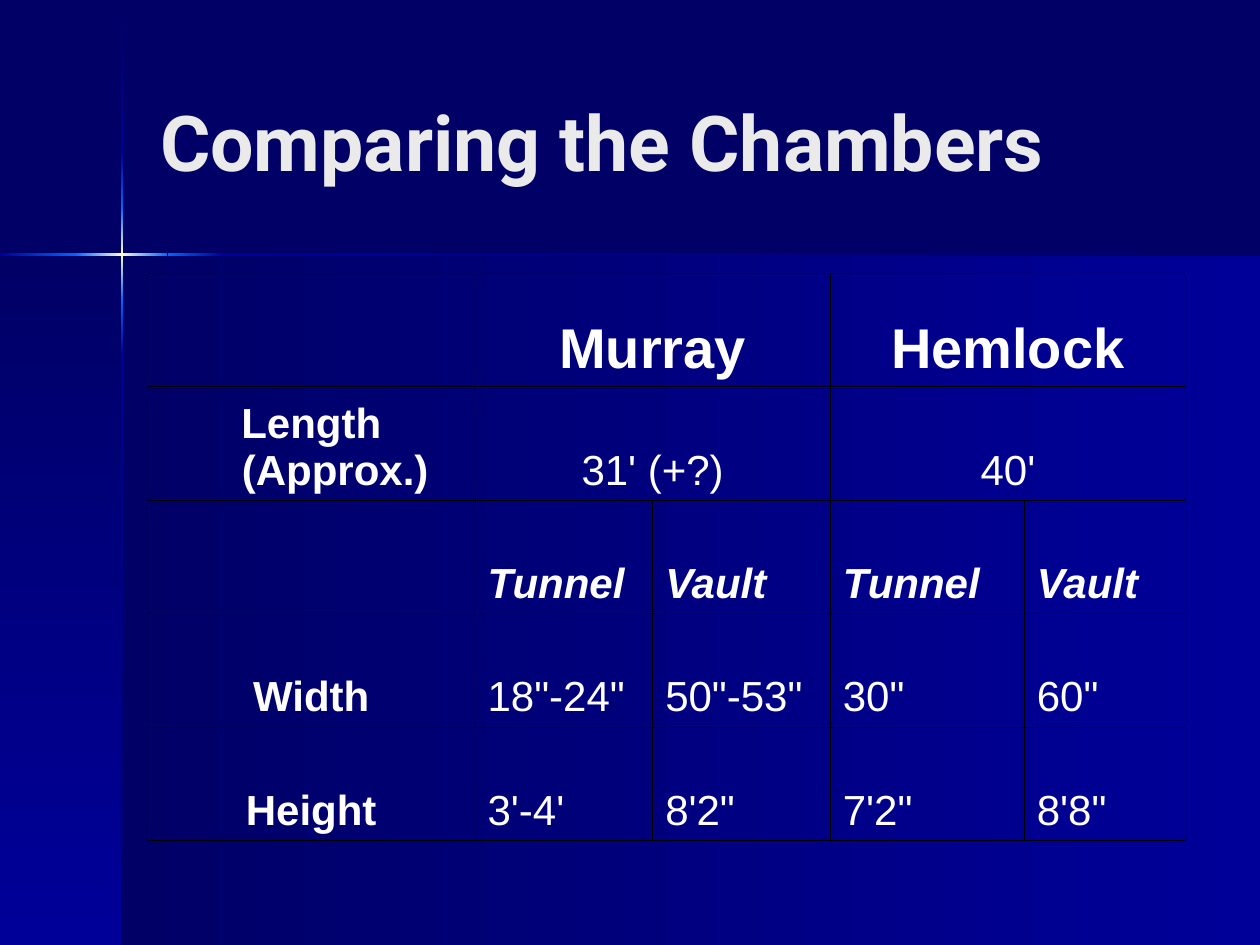
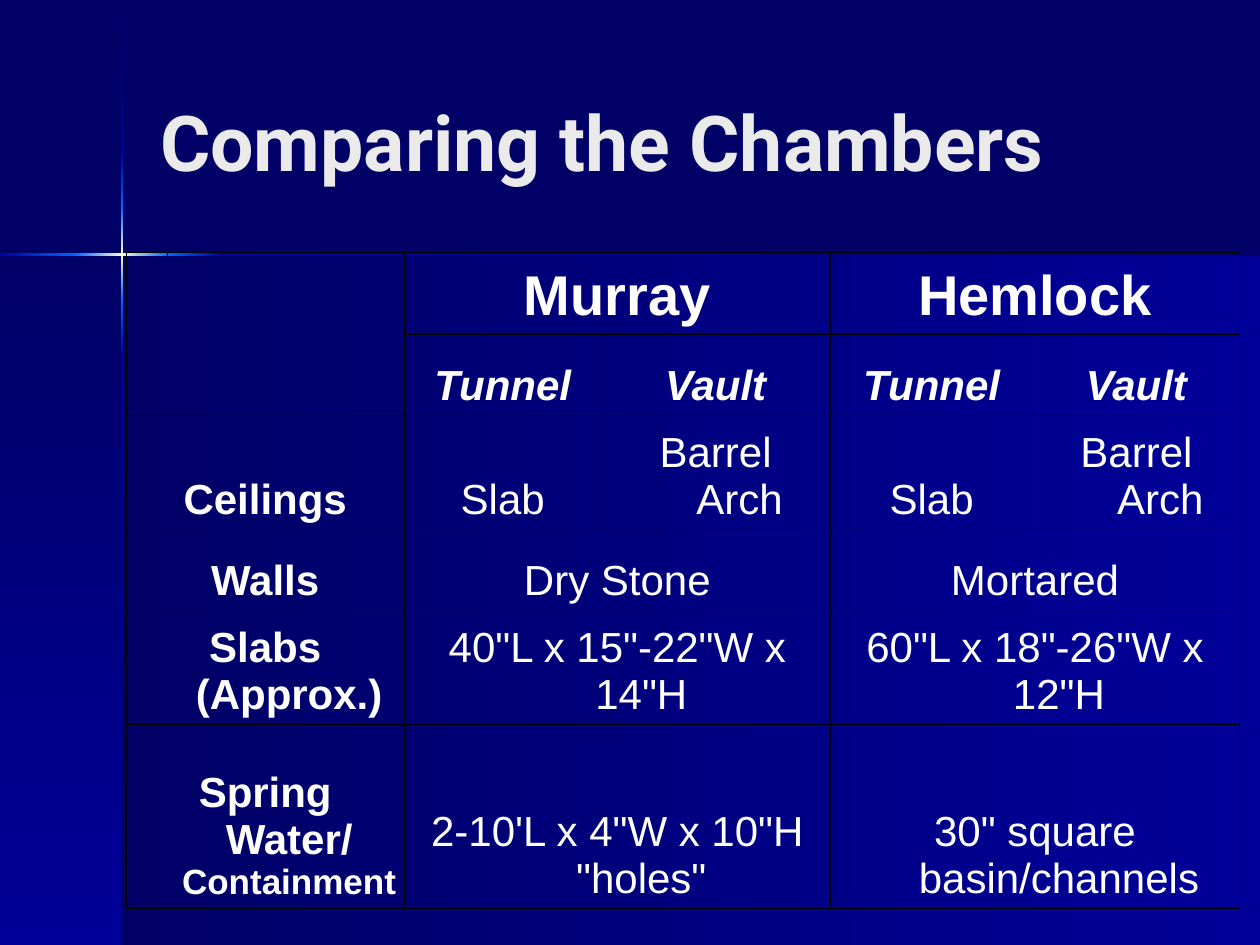
from dataclasses import dataclass

from lxml import etree
from pptx import Presentation
from pptx.dml.color import RGBColor
from pptx.enum.shapes import MSO_SHAPE
from pptx.enum.text import MSO_ANCHOR, MSO_AUTO_SIZE, PP_ALIGN
from pptx.oxml.ns import qn
from pptx.util import Inches, Pt

RECTANGLE = MSO_SHAPE.RECTANGLE
MIDDLE, BOTTOM = MSO_ANCHOR.MIDDLE, MSO_ANCHOR.BOTTOM
LEFT, CENTER = PP_ALIGN.LEFT, PP_ALIGN.CENTER
NO_AUTOFIT = MSO_AUTO_SIZE.NONE

NAVY = RGBColor(0x00, 0x00, 0x66)
BLUE = RGBColor(0x00, 0x00, 0x99)
BRIGHT = RGBColor(0x00, 0x66, 0xFF)
CREAM = RGBColor(0xFF, 0xFF, 0xCC)
PALE = RGBColor(0xEA, 0xEA, 0xEA)
WHITE = RGBColor(0xFF, 0xFF, 0xFF)
BLACK = RGBColor(0x00, 0x00, 0x00)

TITLE = "Comparing the Chambers"
TITLE_FONT, TABLE_FONT = "Roboto", "Arial"
TITLE_ONLY_LAYOUT = 5
DOWN, LEFTWARD = 90, 180
HANGING = Inches(0.38)
BORDER = Pt(0.45)
ALL_SIDES = "LRTB"
PLAIN_TABLE = "{2D5ABB26-0587-4C30-8999-92F81FD0307C}"


@dataclass(frozen=True)
class Fade:
    """A rectangle in inches whose colours run in one direction."""
    left: float
    top: float
    width: float
    height: float
    direction: int
    colors: tuple[RGBColor, ...]


@dataclass(frozen=True)
class Entry:
    """One table cell; wording holds (text, size) runs."""
    wording: tuple[tuple[str, int], ...] = ()
    bold: bool = False
    italic: bool = False
    align: PP_ALIGN = CENTER
    span: int = 1
    sides: str = ALL_SIDES
    margin: float = 0.1


@dataclass(frozen=True)
class Comparison:
    left: float
    top: float
    widths: tuple[float, ...]
    heights: tuple[float, ...]
    rows: tuple[tuple[Entry, ...], ...]


GLOW = (BRIGHT, CREAM, BRIGHT)
BACKDROP = (
    Fade(0.97, 2.02, 9.03, 5.48, LEFTWARD, (BLUE, NAVY)),
    Fade(0, 2.02, 0.97, 5.48, DOWN, (NAVY, BLUE)),
    Fade(0.96, 0.01, 0.02, 1.2, DOWN, (NAVY, BLUE)),
    Fade(0.96, 2.82, 0.02, 4.68, DOWN, (BLUE, NAVY)),
    Fade(1.77, 2.01, 8.23, 0.02, LEFTWARD, (NAVY, BLUE)),
    Fade(0.96, 2.38, 0.02, 0.44, DOWN, (BRIGHT, BLUE)),
    Fade(0.96, 1.21, 0.02, 0.44, DOWN, (BLUE, BRIGHT)),
    Fade(0.96, 1.65, 0.02, 0.73, DOWN, GLOW),
    Fade(0, 2.01, 0.61, 0.02, LEFTWARD, (BRIGHT, BLUE)),
    Fade(1.33, 2.01, 0.44, 0.02, LEFTWARD, (BLUE, BRIGHT)),
    Fade(0.6, 2.01, 0.73, 0.02, LEFTWARD, GLOW),
)


def chamber(name: str) -> Entry:
    return Entry(((name, 32),), bold=True, span=2)


def label(text: str) -> Entry:
    return Entry(((text, 24),), bold=True)


def section(name: str, align: PP_ALIGN) -> Entry:
    return Entry(((name, 24),), bold=True, italic=True, align=align)


def value(text: str, align: PP_ALIGN = CENTER, span: int = 1) -> Entry:
    return Entry(((text, 24),), align=align, span=span)


def measures(name: str, *sizes: str) -> tuple[Entry, ...]:
    return (label(name), *(value(size, LEFT) for size in sizes))


def shared(name: str, *facts: str) -> tuple[Entry, ...]:
    """A row with one fact for each whole chamber."""
    return (label(name), *(value(fact, span=2) for fact in facts))


def sections(align: PP_ALIGN) -> tuple[Entry, ...]:
    return tuple(section(name, align) for name in ("Tunnel", "Vault") * 2)


CHAMBERS = (chamber("Murray"), chamber("Hemlock"))
CONTAINMENT = Entry((("Spring Water/", 24), (" ", 18), ("Containment", 20)),
                    bold=True, margin=0.05)

DIMENSIONS = Comparison(
    1.17, 2.17, (2.6, 1.41, 1.41, 1.54, 1.28), (0.9,) * 5,
    (
        (Entry(), *CHAMBERS),
        shared("Length (Approx.)", "31' (+?)", "40'"),
        (Entry(), *sections(LEFT)),
        measures("Width", "18\"-24\"", "50\"-53\"", "30\"", "60\""),
        measures("Height", "3'-4'", "8'2\"", "7'2\"", "8'8\""),
    ),
)
CONSTRUCTION = Comparison(
    1, 2, (2.21, 1.56, 1.82, 1.61, 1.64), (0.65, 0.65, 0.9, 0.65, 0.9, 1.46),
    (
        (Entry(sides="LRT"), *CHAMBERS),
        (Entry(sides="LRB"), *sections(CENTER)),
        (label("Ceilings"), *(value(kind) for kind in ("Slab", "Barrel Arch") * 2)),
        shared("Walls", "Dry Stone", "Mortared"),
        shared("Slabs (Approx.)", "40\"L x 15\"-22\"W x 14\"H",
               "60\"L x 18\"-26\"W x 12\"H"),
        (CONTAINMENT, value("2-10'L x 4\"W x 10\"H \"holes\"", span=2),
         value("30\" square basin/channels", span=2)),
    ),
)


def add_color(parent, color: RGBColor) -> None:
    etree.SubElement(parent, qn("a:srgbClr"), val=str(color))


def draw_fade(shapes, fade: Fade) -> None:
    band = shapes.add_shape(RECTANGLE, Inches(fade.left), Inches(fade.top),
                            Inches(fade.width), Inches(fade.height))
    band.shadow.inherit = False
    band.line.fill.background()
    band.fill.gradient()
    band.fill.gradient_angle = 360 - fade.direction
    stops = band.element.spPr.find(qn("a:gradFill")).find(qn("a:gsLst"))
    for stop in list(stops):
        stops.remove(stop)
    step = 100000 // (len(fade.colors) - 1)
    for index, color in enumerate(fade.colors):
        add_color(etree.SubElement(stops, qn("a:gs"), pos=str(index * step)), color)


def dress_layout(layout, slide) -> None:
    """Give the layout its background and crossing light bands.

    Layouts cannot create shapes, so the group is made on a slide and moved.
    """
    layout.background.fill.solid()
    layout.background.fill.fore_color.rgb = NAVY
    backdrop = slide.shapes.add_group_shape()
    for fade in BACKDROP:
        draw_fade(backdrop.shapes, fade)
    layout.shapes.element.insert(2, backdrop.element)


def add_run(paragraph, text: str, font_name: str, size: int, color: RGBColor,
            bold: bool, italic: bool = False) -> None:
    run = paragraph.add_run()
    run.text = text
    run.font.name = font_name
    run.font.size = Pt(size)
    run.font.bold = bold
    run.font.italic = italic
    run.font.color.rgb = color


def write_title(slide) -> None:
    title = slide.shapes.title
    title.left, title.top = Inches(1.17), Inches(0.33)
    title.width, title.height = Inches(8.25), Inches(1.57)
    frame = title.text_frame
    frame.auto_size = NO_AUTOFIT
    frame.vertical_anchor = MIDDLE
    frame.paragraphs[0].alignment = LEFT
    add_run(frame.paragraphs[0], TITLE, TITLE_FONT, 44, PALE, bold=True)


def format_cell(cell, sides: str) -> None:
    cell.fill.background()
    properties = cell._tc.get_or_add_tcPr()
    for index, side in enumerate(sides):
        line = etree.Element(qn(f"a:ln{side}"), w=str(BORDER))
        add_color(etree.SubElement(line, qn("a:solidFill")), BLACK)
        properties.insert(index, line)


def write_entry(cell, entry: Entry) -> None:
    cell.vertical_anchor = BOTTOM
    cell.margin_left = cell.margin_right = Inches(entry.margin)
    cell.margin_top = cell.margin_bottom = Inches(0.05)
    paragraph = cell.text_frame.paragraphs[0]
    paragraph.alignment = entry.align
    indents = paragraph._p.get_or_add_pPr()
    indents.set("marL", str(HANGING))
    indents.set("indent", str(-HANGING))
    for text, size in entry.wording:
        add_run(paragraph, text, TABLE_FONT, size, WHITE, entry.bold, entry.italic)


def draw_comparison(slide, comparison: Comparison) -> None:
    frame = slide.shapes.add_table(
        len(comparison.heights), len(comparison.widths),
        Inches(comparison.left), Inches(comparison.top),
        Inches(sum(comparison.widths)), Inches(sum(comparison.heights)))
    table = frame.table
    table.first_row = table.horz_banding = False
    table._tbl.tblPr.find(qn("a:tableStyleId")).text = PLAIN_TABLE
    for column, width in zip(table.columns, comparison.widths):
        column.width = Inches(width)
    for row, height in zip(table.rows, comparison.heights):
        row.height = Inches(height)
    for row_index, entries in enumerate(comparison.rows):
        column_index = 0
        for entry in entries:
            end = column_index + entry.span
            covered = [table.cell(row_index, i) for i in range(column_index, end)]
            for cell in covered:
                format_cell(cell, entry.sides)
            if entry.span > 1:
                covered[0].merge(covered[-1])
            if entry.wording:
                write_entry(covered[0], entry)
            column_index = end


def main() -> None:
    deck = Presentation()
    deck.slide_width, deck.slide_height = Inches(10), Inches(7.5)
    layout = deck.slide_layouts[TITLE_ONLY_LAYOUT]
    for number, comparison in enumerate((DIMENSIONS, CONSTRUCTION)):
        slide = deck.slides.add_slide(layout)
        if number == 0:
            dress_layout(layout, slide)
        write_title(slide)
        draw_comparison(slide, comparison)
    deck.save("out.pptx")


if __name__ == "__main__":
    main()
